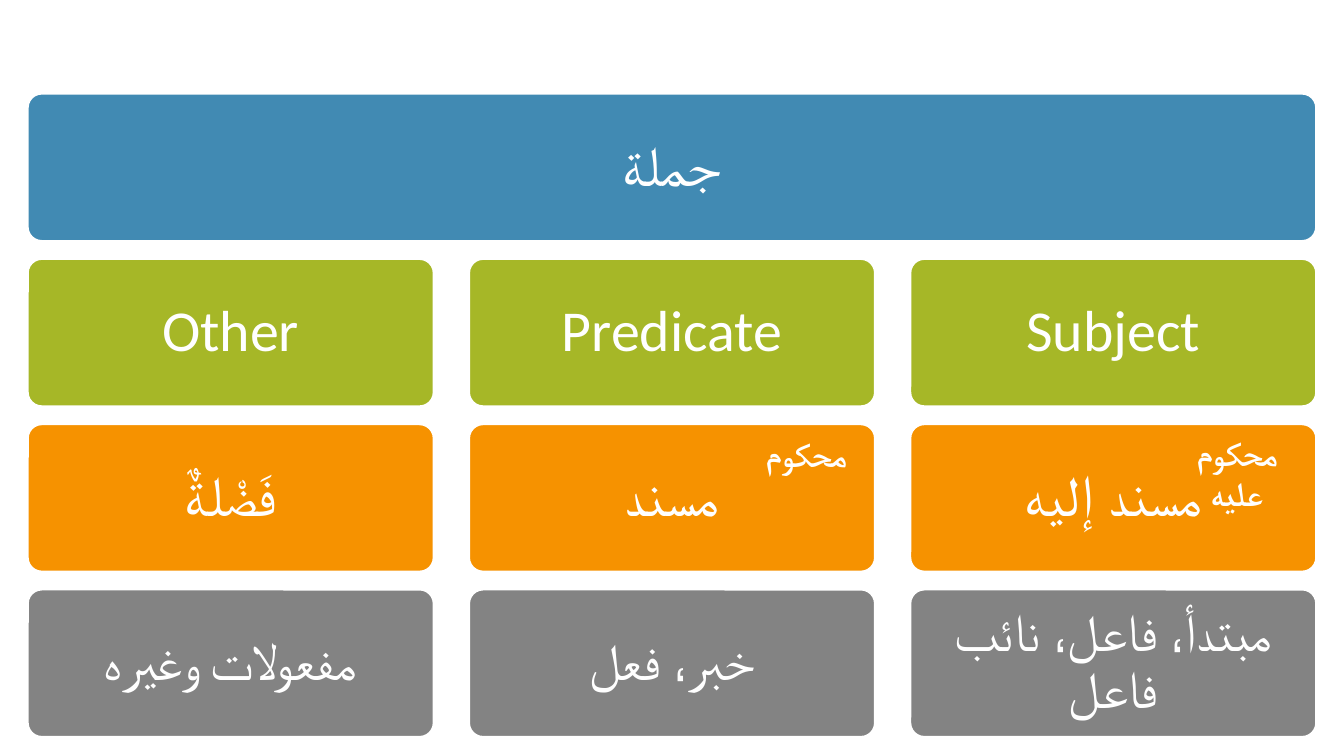
from dataclasses import dataclass

from pptx import Presentation
from pptx import util as u
from pptx.dml.color import RGBColor
from pptx.enum import shapes, text


@dataclass(frozen=True)
class Theme:
    font: str = "Calibri"
    white: str = "FFFFFF"
    blue: str = "418AB3"
    green: str = "A6B727"
    orange: str = "F69200"
    grey: str = "838383"
    large: int = 31
    medium: int = 28
    small: int = 18


theme = Theme()
prs = Presentation()
# Widescreen 16:9
prs.slide_width, prs.slide_height = u.Inches(10), u.Inches(10 * 9 / 16)
s = prs.slides.add_slide(prs.slide_layouts[6])


def set_text(sp, label, size, bold=False):
    tf = sp.text_frame
    tf.word_wrap = True
    tf.text = label
    p = tf.paragraphs[0]
    p.alignment = text.PP_ALIGN.CENTER
    f = p.runs[0].font
    f.name, f.size, f.bold = theme.font, u.Pt(size), bold
    f.color.rgb = RGBColor.from_string(theme.white)
    return p


# Grid: each row splits the full width evenly among its labels
left, top, width, height = 0.2, 0.69, 9.6, 1.11
col_gap, row_step = 0.25, 1.23
rows = [
    (theme.blue, theme.large, 0.16, ["جملة"]),
    (theme.green, theme.large, 0.16, ["Other", "Predicate", "Subject"]),
    (theme.orange, theme.large, 0.16, ["فَضْلةٌ", "مسند", "مسند إليه"]),
    (theme.grey, theme.medium, 0.15,
     ["مفعولات وغيره", "خبر، فعل", "مبتدأ، فاعل، نائب فاعل"]),
]
for i, (color, size, inset, labels) in enumerate(rows):
    box_w = (width - col_gap * (len(labels) - 1)) / len(labels)
    for j, label in enumerate(labels):
        sp = s.shapes.add_shape(
            shapes.MSO_SHAPE.ROUNDED_RECTANGLE,
            u.Inches(left + j * (box_w + col_gap)),
            u.Inches(top + i * row_step), u.Inches(box_w), u.Inches(height))
        sp.adjustments[0] = 0.1
        sp.shadow.inherit = False
        sp.fill.solid()
        sp.fill.fore_color.rgb = RGBColor.from_string(color)
        sp.line.color.rgb = RGBColor.from_string(theme.white)
        sp.line.width = u.Pt(2)
        p = set_text(sp, label, size)
        p.line_spacing = 0.9
        tf = sp.text_frame
        tf.vertical_anchor = text.MSO_ANCHOR.MIDDLE
        tf.margin_left = tf.margin_right = u.Inches(inset)
        tf.margin_top = tf.margin_bottom = u.Inches(inset)

# Small right-to-left notes in the orange row
for label, x, y, w in [("محكوم عليه", 8.58, 3.17, 1.25),
                       ("محكوم", 5.45, 3.18, 1.1)]:
    sp = s.shapes.add_textbox(u.Inches(x), u.Inches(y), u.Inches(w), u.Inches(0.4))
    p = set_text(sp, label, theme.small, bold=True)
    p._p.get_or_add_pPr().set("rtl", "1")
    sp.text_frame.auto_size = text.MSO_AUTO_SIZE.SHAPE_TO_FIT_TEXT

prs.save("out.pptx")
